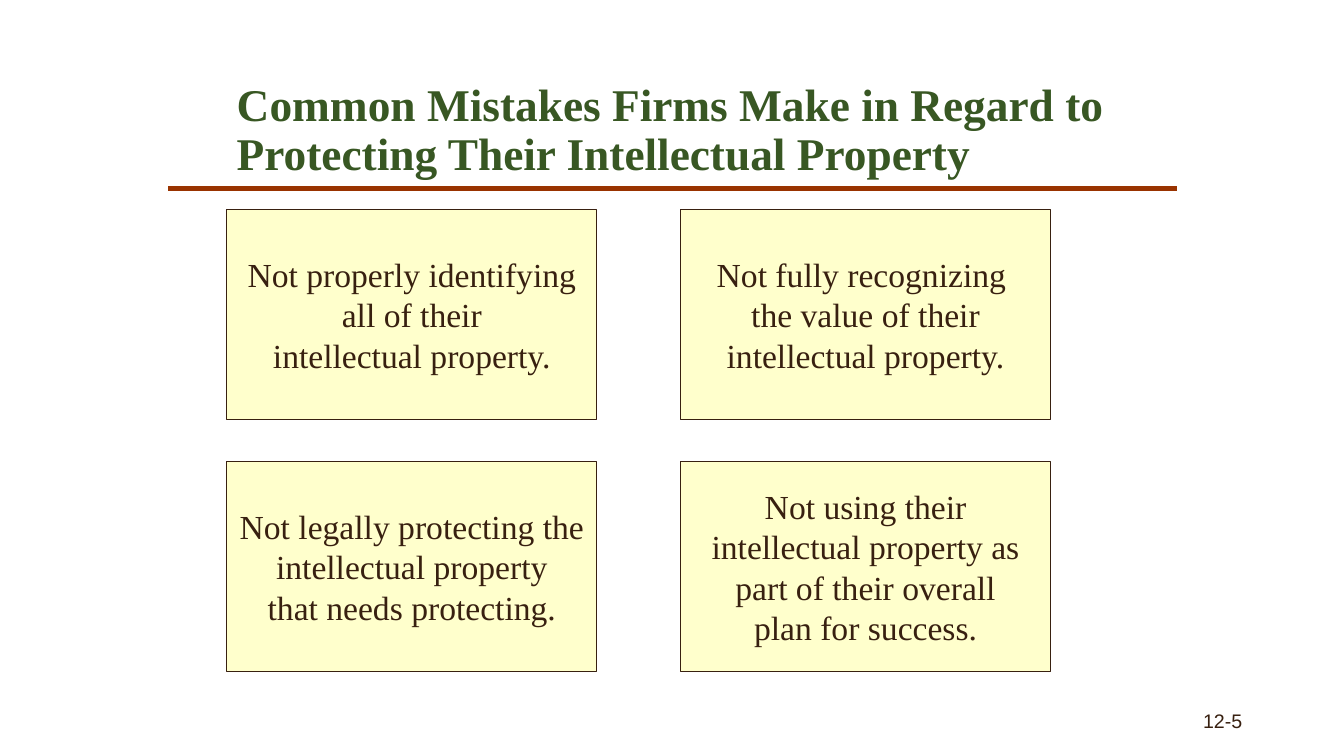
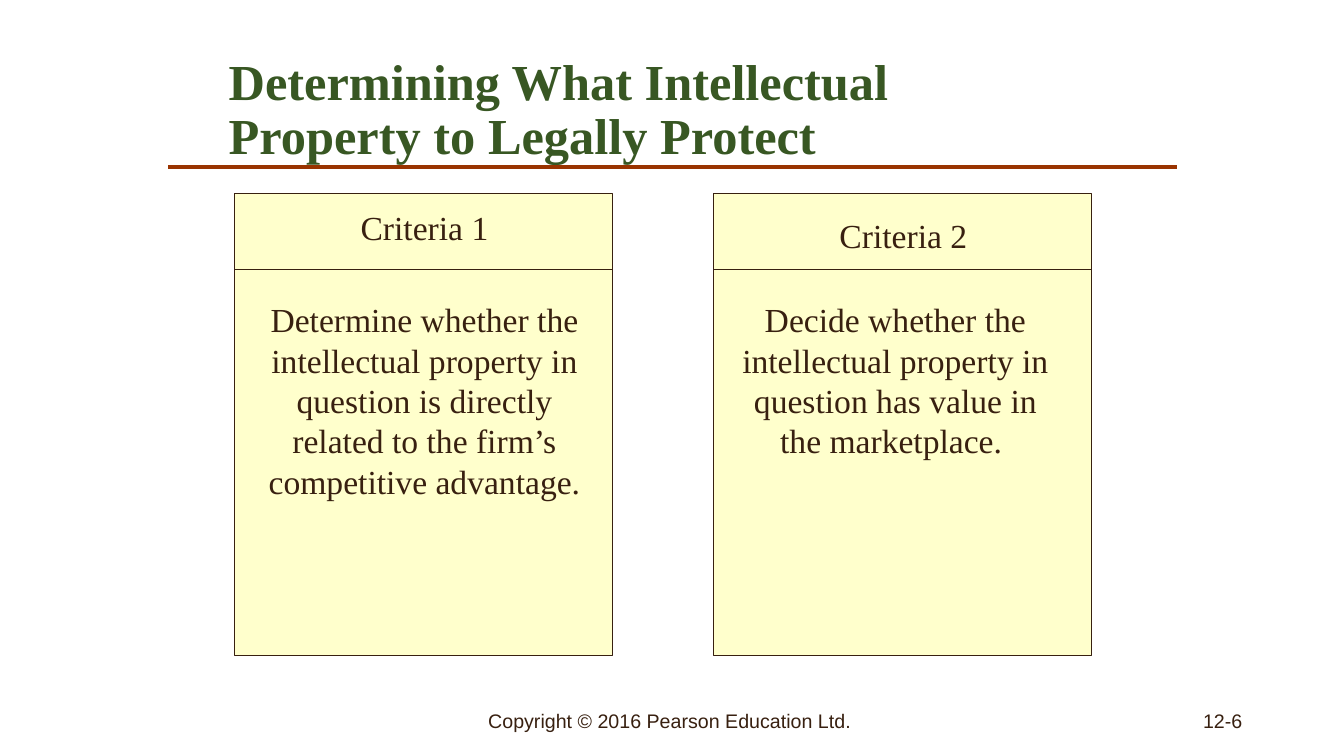
"""Build two slides on protecting intellectual property."""
from lxml import etree
from pptx import Presentation
from pptx.dml.color import RGBColor
from pptx.enum.shapes import MSO_CONNECTOR, MSO_SHAPE
from pptx.enum.text import MSO_ANCHOR, PP_ALIGN
from pptx.oxml.ns import qn
from pptx.util import Inches, Pt

LEFT, CENTER, RIGHT = PP_ALIGN.LEFT, PP_ALIGN.CENTER, PP_ALIGN.RIGHT
TOP, MIDDLE = MSO_ANCHOR.TOP, MSO_ANCHOR.MIDDLE
RECTANGLE, STRAIGHT = MSO_SHAPE.RECTANGLE, MSO_CONNECTOR.STRAIGHT

COLORS = {"title": "385723", "rule": "993300", "text": "382010", "card": "FFFFCC"}
SERIF, SANS = "Times New Roman", "Arial"

MISTAKES_TITLE = ["Common Mistakes Firms Make in Regard to Protecting Their Intellectual Property"]
MISTAKES = [
    ["Not properly identifying", "all of their", "intellectual property."],
    ["Not fully recognizing ", "the value of their", "intellectual property."],
    ["Not legally protecting the", "intellectual property", "that needs protecting."],
    ["Not using their", "intellectual property as", "part of their overall", "plan for success."],
]

CRITERIA_TITLE = ["Determining What Intellectual ", "Property to Legally Protect"]
CRITERIA = [
    {"head": "Criteria 1", "head_top": 2.0, "body_left": 2.5,
     "body": "Determine whether the intellectual property in question is directly "
             "related to the firm’s competitive advantage."},
    {"head": "Criteria 2", "head_top": 2.08, "body_left": 7.17,
     "body": "Decide whether the intellectual property in question has value in "
             "the marketplace. "},
]
COPYRIGHT = "Copyright © 2016 Pearson Education Ltd. "


def color(name):
    return RGBColor.from_string(COLORS[name])


def write(sp, lines, size=24, font=SERIF, fill="text", bold=False,
          align=CENTER, anchor=TOP, spacing=None, wrap=True):
    tf = sp.text_frame
    tf.word_wrap = wrap
    tf.vertical_anchor = anchor
    for i, line in enumerate(lines):
        p = tf.add_paragraph() if i else tf.paragraphs[0]
        p.alignment = align
        if spacing:
            p.line_spacing = spacing
        r = p.add_run()
        r.text = line
        r.font.name, r.font.size, r.font.bold = font, Pt(size), bold
        r.font.color.rgb = color(fill)


def add_text(s, box, lines, **style):
    write(s.shapes.add_textbox(*map(Inches, box)), lines, **style)


def add_card(s, *box):
    sp = s.shapes.add_shape(RECTANGLE, *map(Inches, box))
    sp.shadow.inherit = False
    sp.fill.solid()
    sp.fill.fore_color.rgb = color("card")
    sp.line.color.rgb = color("text")
    sp.line.width = Pt(0.75)
    return sp


def add_rule(s, left, top, width, line="text", weight=0.5):
    ends = map(Inches, (left, top, left + width, top))
    rule = s.shapes.add_connector(STRAIGHT, *ends)
    rule.line.color.rgb = color(line)
    rule.line.width = Pt(weight)
    etree.SubElement(rule._element.spPr, qn("a:effectLst"))


def add_slide(prs, title, number, left, top, size, rule_top):
    s = prs.slides.add_slide(prs.slide_layouts[6])
    add_text(s, (left, top, 9, 1.25), title, size=size, fill="title", bold=True,
             align=LEFT, anchor=MIDDLE, spacing=0.9)
    add_rule(s, 1.67, rule_top, 10, line="rule", weight=3)
    add_text(s, (9.42, 6.95, 3, 0.4), [number], size=14, font=SANS,
             align=RIGHT, anchor=MIDDLE)
    return s


def build_mistakes(prs):
    s = add_slide(prs, MISTAKES_TITLE, "12-5", left=2.25, top=0.68, size=32.4, rule_top=1.87)
    for i, lines in enumerate(MISTAKES):
        row, col = divmod(i, 2)
        sp = add_card(s, 2.25 + col * 4.5, 2.08 + row * 2.5, 3.67, 2.08)
        write(sp, lines, anchor=MIDDLE, wrap=False)


def build_criteria(prs):
    s = add_slide(prs, CRITERIA_TITLE, "12-6", left=2.17, top=0.48, size=36, rule_top=1.66)
    width = 3.75
    for i, item in enumerate(CRITERIA):
        left = 2.33 + i * 4.75
        add_card(s, left, 1.92, width, 4.58)
        add_rule(s, left, 2.67, width)
        add_text(s, (left + 0.09, item["head_top"], 3.58, 0.51), [item["head"]])
        add_text(s, (item["body_left"], 2.92, 3.42, 2.12), [item["body"]])
    add_text(s, (4.42, 6.95, 4.5, 0.4), [COPYRIGHT], size=14, font=SANS, anchor=MIDDLE)


def main():
    prs = Presentation()
    prs.slide_width, prs.slide_height = Inches(13.33), Inches(7.5)
    build_mistakes(prs)
    build_criteria(prs)
    prs.save("out.pptx")


if __name__ == "__main__":
    main()
